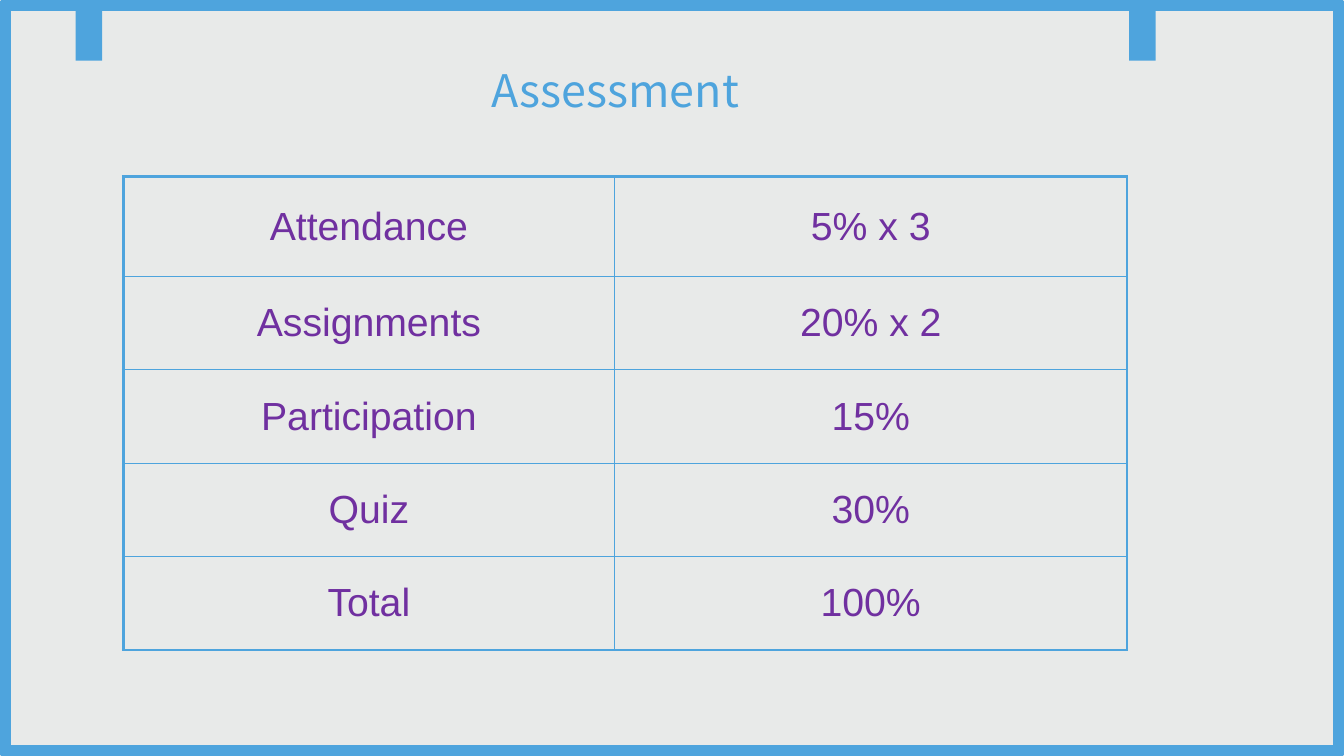
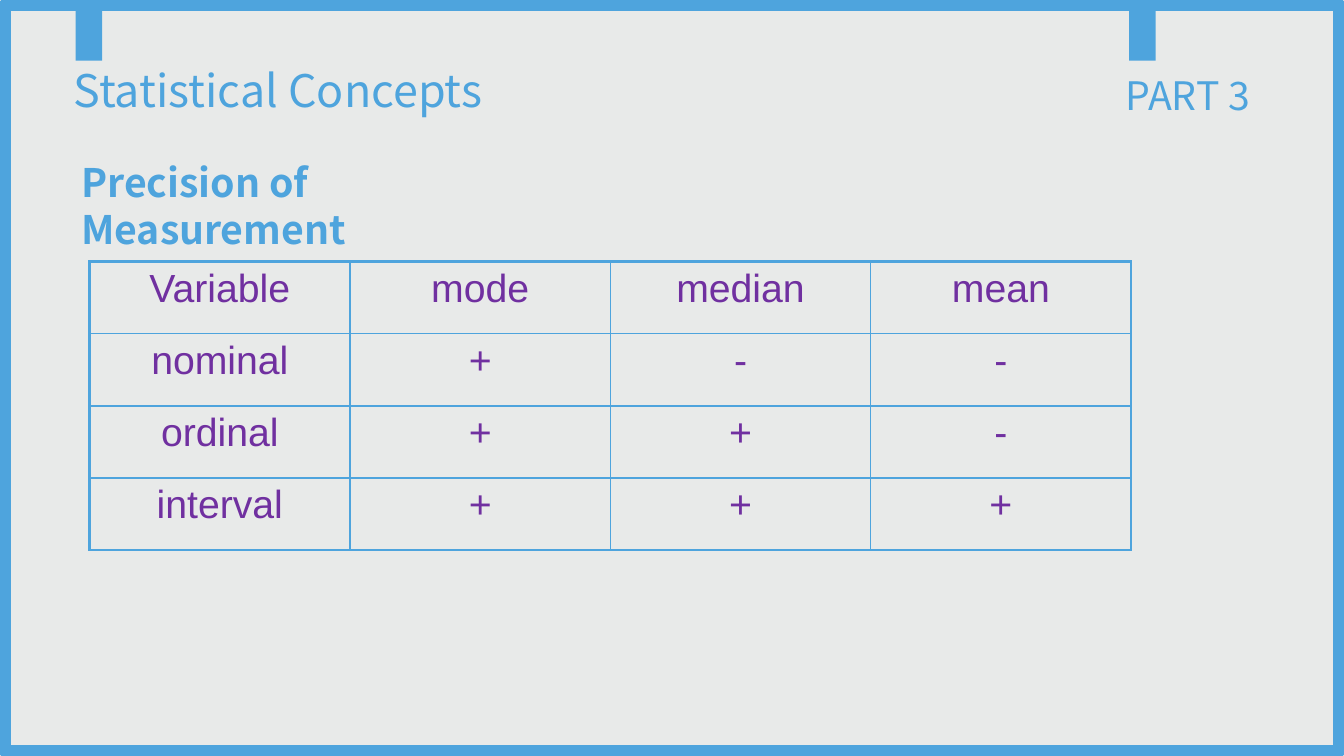
from lxml import etree
from pptx import Presentation
from pptx.dml.color import RGBColor
from pptx.enum.shapes import MSO_SHAPE
from pptx.enum.text import MSO_ANCHOR, PP_ALIGN
from pptx.oxml.ns import qn
from pptx.util import Pt

RECTANGLE = MSO_SHAPE.RECTANGLE
TOP, MIDDLE = MSO_ANCHOR.TOP, MSO_ANCHOR.MIDDLE
LEFT, CENTER = PP_ALIGN.LEFT, PP_ALIGN.CENTER

BLUE, PURPLE, PAPER = "4EA4DD", "7030A0", "E8EAE9"
HEADING_FONT, TABLE_FONT = "Noto Sans CJK SC", "Arial"
SLIDE_W, SLIDE_H = 960, 540
FRAME_WIDTH = 8.5
TAB_LEFTS = (54, 806.5)
TITLE_TOP, TITLE_HEIGHT = 45.5, 40
THIN, THICK = 1, 2.25


def color(hex_string):
    """Turn a hex string into a colour."""
    return RGBColor.from_string(hex_string)


def style(paragraph, font_name, size, hex_string, align=LEFT, bold=False):
    """Give a paragraph its alignment and font."""
    paragraph.alignment = align
    font = paragraph.font
    font.name, font.size, font.bold = font_name, Pt(size), bold
    font.color.rgb = color(hex_string)


def add_rectangle(slide, box):
    """Add a rectangle without shadow, fill or line."""
    rectangle = slide.shapes.add_shape(RECTANGLE, *map(Pt, box))
    rectangle.shadow.inherit = False
    rectangle.fill.background()
    rectangle.line.fill.background()
    return rectangle


def add_framed_slide(prs):
    """Add a slide with the blue frame and its two hanging tabs."""
    slide = prs.slides.add_slide(prs.slide_layouts[6])
    slide.background.fill.solid()
    slide.background.fill.fore_color.rgb = color(PAPER)
    inset = 3.25
    frame = add_rectangle(
        slide, (inset, inset, SLIDE_W - 2 * inset, SLIDE_H - 2 * inset))
    frame.line.color.rgb = color(BLUE)
    frame.line.width = Pt(FRAME_WIDTH)
    for left in TAB_LEFTS:
        tab = add_rectangle(slide, (left, inset, 19, 40))
        tab.fill.solid()
        tab.fill.fore_color.rgb = color(BLUE)
    return slide


def add_heading(slide, text, box, size=32, align=LEFT, bold=False, spacing=0.9):
    """Write a blue heading in the given box."""
    frame = slide.shapes.add_textbox(*map(Pt, box)).text_frame
    frame.word_wrap = True
    paragraph = frame.paragraphs[0]
    paragraph.text = text
    paragraph.line_spacing = spacing
    style(paragraph, HEADING_FONT, size, BLUE, align, bold)


def set_borders(cell, widths):
    """Draw the cell's left, right, top and bottom borders."""
    properties = cell._tc.get_or_add_tcPr()
    for index, (side, width) in enumerate(zip("LRTB", widths)):
        border = etree.Element(qn(f"a:ln{side}"), w=str(Pt(width)))
        fill = etree.SubElement(border, qn("a:solidFill"))
        etree.SubElement(fill, qn("a:srgbClr"), val=BLUE)
        properties.insert(index, border)


def add_grid(slide, rows, origin, col_widths, row_heights, anchor, right_edge):
    """Add a ruled table with heavy outer edges and thin inner lines."""
    size = (sum(col_widths), sum(row_heights))
    last_row, last_col = len(rows) - 1, len(col_widths) - 1
    table = slide.shapes.add_table(
        len(rows), len(col_widths), *map(Pt, (*origin, *size))).table
    table.first_row = table.horz_banding = False
    for column, width in zip(table.columns, col_widths):
        column.width = Pt(width)
    for r, (labels, height) in enumerate(zip(rows, row_heights)):
        table.rows[r].height = Pt(height)
        for c, label in enumerate(labels):
            cell = table.cell(r, c)
            cell.fill.background()
            cell.vertical_anchor = anchor
            paragraph = cell.text_frame.paragraphs[0]
            paragraph.text = label
            style(paragraph, TABLE_FONT, 28, PURPLE, CENTER)
            set_borders(cell, (
                THICK if c == 0 else THIN,
                right_edge if c == last_col else THIN,
                THICK if r == 0 else THIN,
                THICK if r == last_row else THIN,
            ))


def build_assessment(prs):
    """Build the slide with the grading weights."""
    slide = add_framed_slide(prs)
    add_heading(slide, "Assessment", (75, TITLE_TOP, 729, TITLE_HEIGHT),
                align=CENTER)
    weights = [
        ("Attendance", "5% x 3"),
        ("Assignments", "20% x 2"),
        ("Participation", "15%"),
        ("Quiz", "30%"),
        ("Total", "100%"),
    ]
    add_grid(slide, weights, (88, 126), (351, 366), [71.5] + [66.7] * 4,
             MIDDLE, THIN)


def build_precision(prs):
    """Build the slide on which averages suit which variables."""
    slide = add_framed_slide(prs)
    add_heading(slide, "PART 3", (797, 51, 163, 30), size=28)
    add_heading(slide, "Statistical Concepts",
                (45.5, TITLE_TOP, 502, TITLE_HEIGHT))
    add_heading(slide, "Precision of Measurement", (51, 109.5, 300, 75),
                size=28, bold=True, spacing=1.0)
    averages = [
        ("Variable", "mode", "median", "mean"),
        ("nominal", "+", "-", "-"),
        ("ordinal", "+", "+", "-"),
        ("interval", "+", "+", "+"),
    ]
    add_grid(slide, averages, (64, 187), [186] * 4, [51.5] * 4, TOP, THICK)


def main():
    """Build and save the presentation."""
    prs = Presentation()
    prs.slide_width, prs.slide_height = Pt(SLIDE_W), Pt(SLIDE_H)
    build_assessment(prs)
    build_precision(prs)
    prs.save("out.pptx")


if __name__ == "__main__":
    main()
